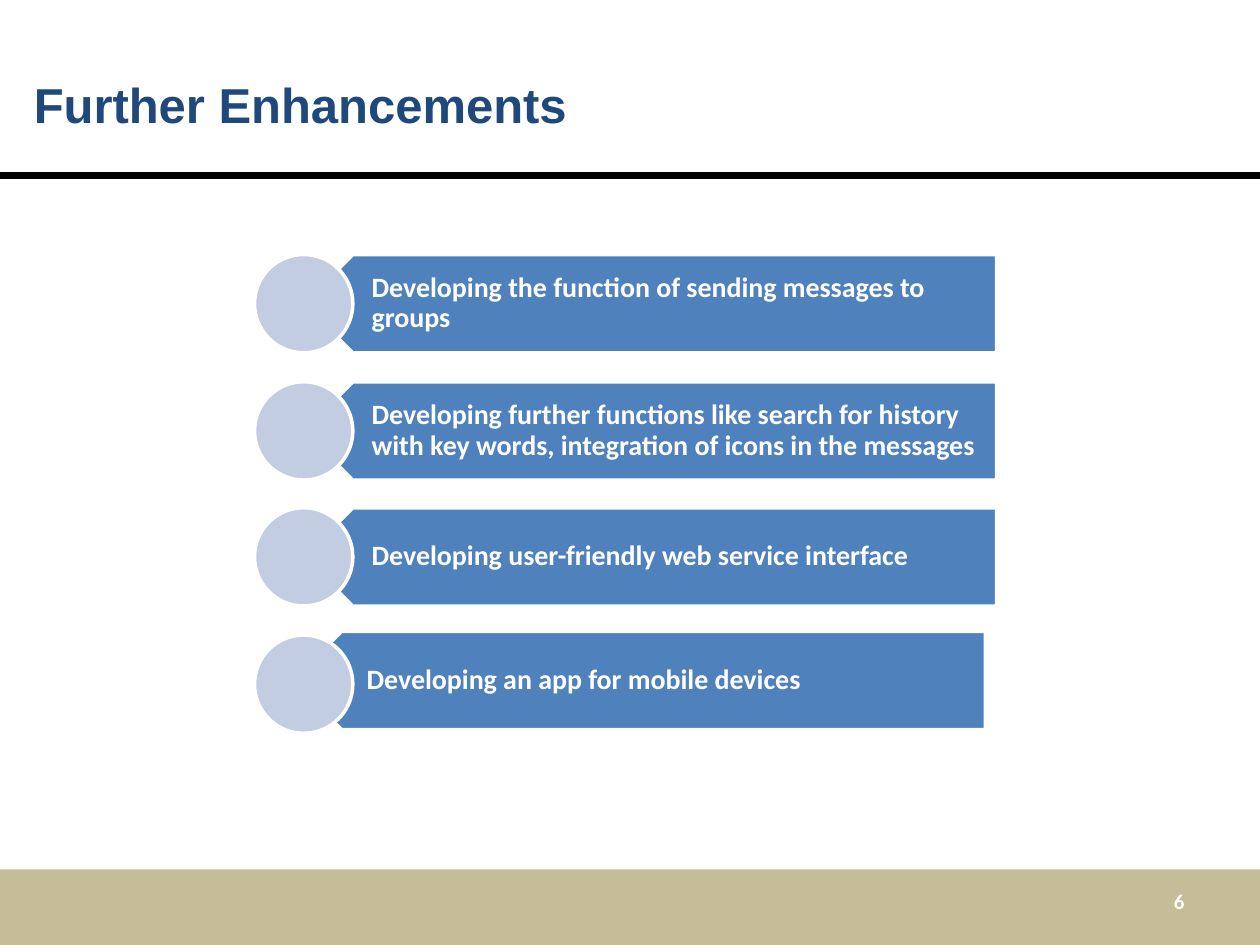
from pptx import Presentation
from pptx.dml.color import RGBColor
from pptx.enum.shapes import MSO_CONNECTOR, MSO_SHAPE
from pptx.enum.text import MSO_ANCHOR, PP_ALIGN
from pptx.oxml.ns import qn
from pptx.util import Pt
from lxml import etree

RECT = MSO_SHAPE.RECTANGLE
PLATE = MSO_SHAPE.PENTAGON
OVAL = MSO_SHAPE.OVAL
LINE = MSO_CONNECTOR.STRAIGHT
MID = MSO_ANCHOR.MIDDLE
LEFT = PP_ALIGN.LEFT
RIGHT = PP_ALIGN.RIGHT

PX = 9144
HUE = {
    "navy": "1F497D",
    "blue": "4F81BD",
    "pale": "C2CDE1",
    "sand": "C4BD97",
    "white": "FFFFFF",
    "black": "000000",
}
TITLE = {"name": "Arial", "size": Pt(28), "bold": True}
ITEM = {"name": "Calibri", "size": Pt(16), "bold": True}
PAGE = {"name": "Calibri", "size": Pt(12), "bold": True}
PAD = {
    "margin_left": 34 * PX,
    "margin_top": 7 * PX,
    "margin_right": 12 * PX,
    "margin_bottom": 7 * PX,
}
ITEMS = [
    ("Developing the function of sending messages to groups", 0, 0),
    ("Developing further functions like search for history with key words, "
     "integration of icons in the messages", 0, 0),
    ("Developing user-friendly web service interface", 0, 0),
    (" Developing an app for mobile devices", -9, -3),
]


def tint(name):
    return RGBColor.from_string(HUE[name])


def scale(box):
    return [n * PX for n in box]


def assign(obj, vals):
    for key, val in vals.items():
        setattr(obj, key, val)


def shape(slide, kind, box, fill, edge=None):
    part = slide.shapes.add_shape(kind, *scale(box))
    part.shadow.inherit = False
    part.fill.solid()
    part.fill.fore_color.rgb = tint(fill)
    if edge:
        part.line.color.rgb = tint(edge)
        part.line.width = Pt(2)
    else:
        part.line.fill.background()
    return part


def label(slide, box, words, font, hue, pad=None, para=None):
    frame = slide.shapes.add_textbox(*scale(box)).text_frame
    assign(frame, {"word_wrap": True, "vertical_anchor": MID, **(pad or {})})
    first = frame.paragraphs[0]
    assign(first, {"alignment": LEFT, **(para or {})})
    run = first.add_run()
    run.text = words
    assign(run.font, font)
    run.font.color.rgb = tint(hue)


def header(slide, box):
    x, y, w, h = box
    label(slide, (x + 17, y + 20, w - 100, 125), "Further Enhancements", TITLE, "navy")
    rule = slide.shapes.add_connector(LINE, *scale((x, y + h, x + w, y + h)))
    rule.line.color.rgb = tint("black")
    rule.line.width = Pt(4)
    etree.SubElement(rule._element.spPr, qn("a:effectLst"))


def footer(slide, box):
    x, y, w, h = box
    shape(slide, RECT, box, "sand")
    label(slide, (x + w - 283, y + 5, 233, 40), "6", PAGE, "white",
          para={"alignment": RIGHT})


def row(slide, box, words, dx, dy):
    x, y, w, h = box
    left = x + h // 2 + dx
    plate = shape(slide, PLATE, (left, y + dy, w - h // 2, h), "blue", "white")
    plate.rotation = 180
    label(slide, (left + 20, y + dy, w - h // 2 - 20, h), words, ITEM, "white",
          PAD, {"line_spacing": 0.9})
    shape(slide, OVAL, (x, y, h, h), "pale", "white")


def points(slide, box):
    x, y, w, h = box
    size = 78
    step = (h - size) / (len(ITEMS) - 1)
    for i, (words, dx, dy) in enumerate(ITEMS):
        row(slide, (x, y + round(i * step), w, size), words, dx, dy)


def main():
    deck = Presentation()
    deck.slide_width, deck.slide_height = scale((1000, 750))
    slide = deck.slides.add_slide(deck.slide_layouts[6])
    footer(slide, (0, 690, 1000, 60))
    header(slide, (0, 0, 1000, 139))
    points(slide, (202, 202, 589, 380))
    deck.save("out.pptx")


if __name__ == "__main__":
    main()
